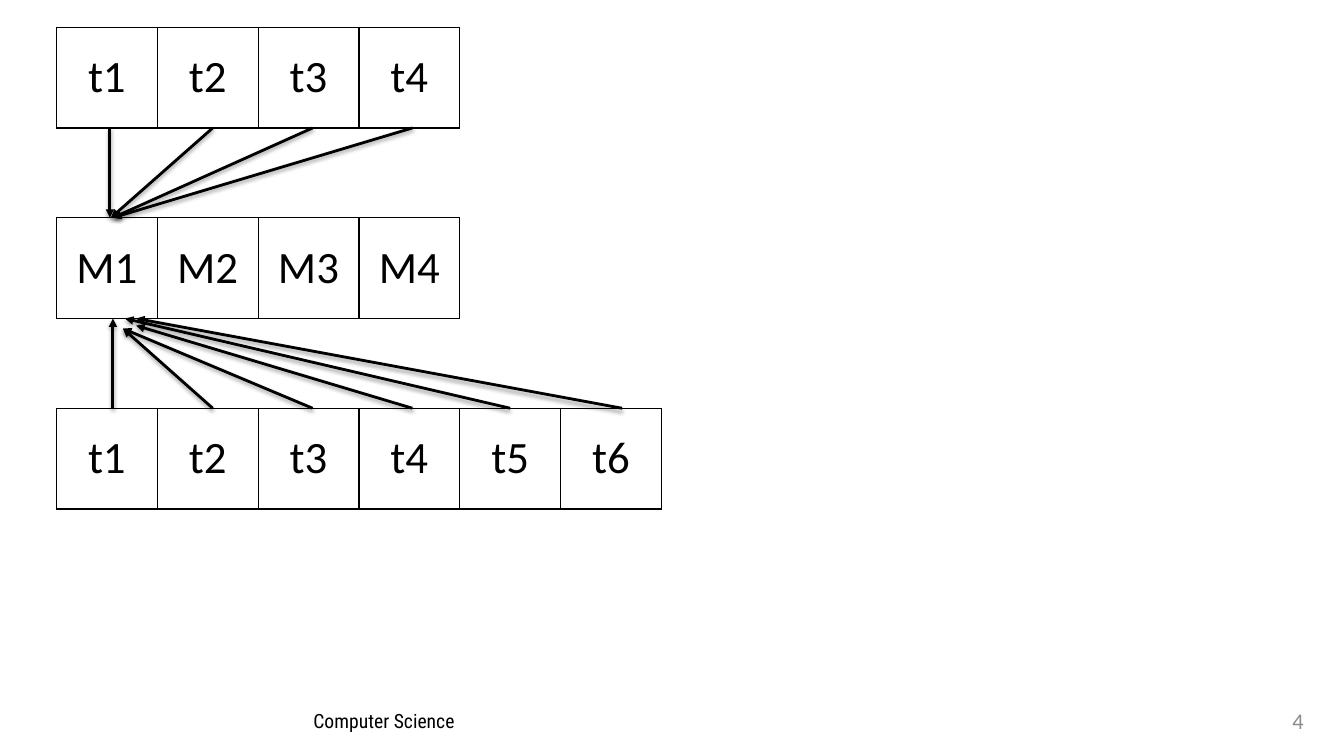
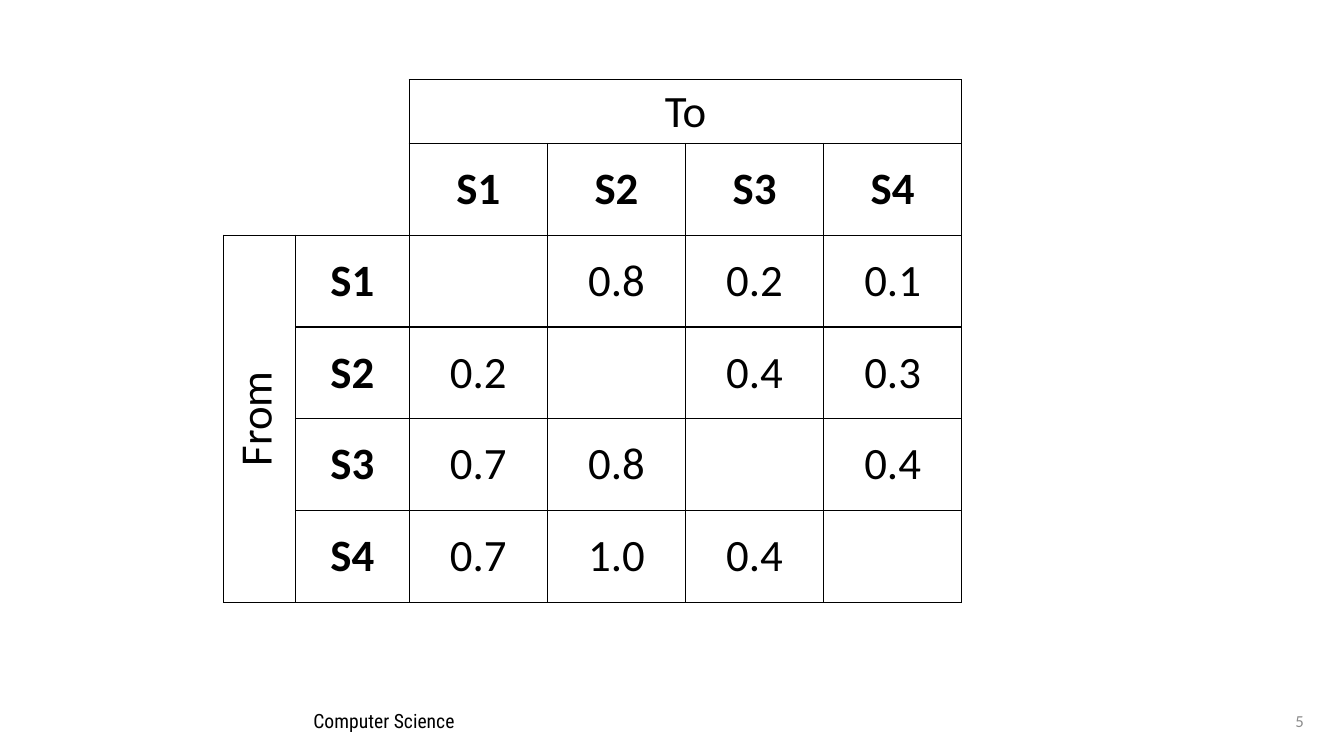
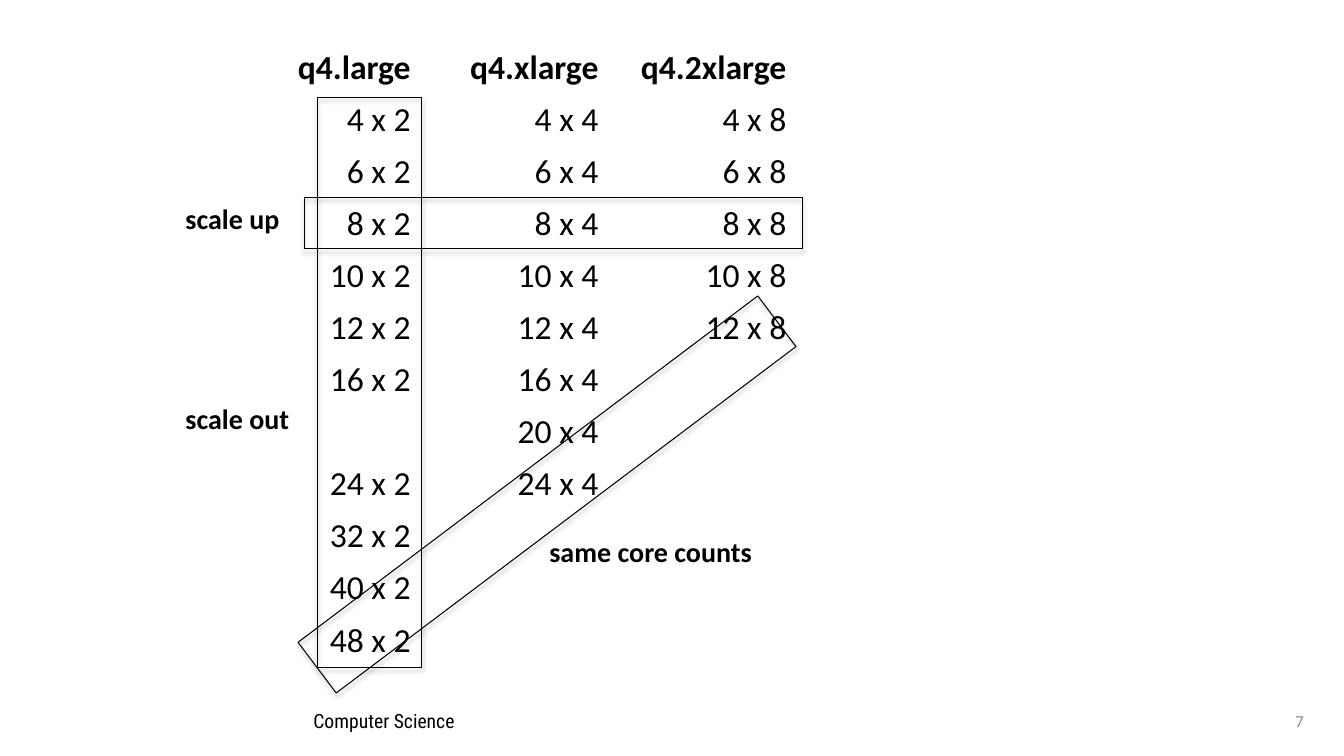
"""Build three slides on task mapping, transition values and scaling choices."""
from lxml import etree
from pptx import Presentation
from pptx.dml.color import RGBColor
from pptx.enum import shapes, text
from pptx.oxml import ns
from pptx.util import Inches, Pt

BLACK = RGBColor(0x00, 0x00, 0x00)
WHITE = RGBColor(0xFF, 0xFF, 0xFF)
GREY = RGBColor(0x8C, 0x8C, 0x8C)
BODY_FONT = "Calibri"
FOOTER_FONT = "Roboto Condensed"
BOX = 1
STATES = ["S1", "S2", "S3", "S4"]


def add_child(parent, tag, **attributes):
    """Append a DrawingML element and return it."""
    return etree.SubElement(parent, ns.qn(tag), attributes)


def add_run(paragraph, words, size, bold=False, font=BODY_FONT, color=BLACK):
    """Add one styled run to a paragraph."""
    run = paragraph.add_run()
    run.text = words
    run.font.name = font
    run.font.size = Pt(size)
    run.font.bold = bold
    run.font.color.rgb = color


def add_text(slide, box, words, size, wrap=True, grow=True, align=None, anchor=None, **style):
    """Add a text box holding one run."""
    frame = slide.shapes.add_textbox(*map(Inches, box)).text_frame
    frame.word_wrap = wrap
    frame.auto_size = text.MSO_AUTO_SIZE.SHAPE_TO_FIT_TEXT if grow else text.MSO_AUTO_SIZE.NONE
    frame.vertical_anchor = anchor
    paragraph = frame.paragraphs[0]
    paragraph.alignment = align
    add_run(paragraph, words, size, **style)


def add_shadow(shape, distance, opacity):
    """Give a shape a soft shadow that falls straight down."""
    effects = add_child(shape._element.spPr, "a:effectLst")
    shadow = add_child(effects, "a:outerShdw", blurRad=str(Pt(3.1)), dist=str(Pt(distance)),
                       dir="5400000", rotWithShape="0")
    color = add_child(shadow, "a:srgbClr", val=str(BLACK))
    add_child(color, "a:alpha", val=str(opacity * 1000))


def add_arrow(slide, start, end):
    """Draw a shadowed arrow between two points."""
    arrow = slide.shapes.add_connector(shapes.MSO_CONNECTOR.STRAIGHT, *map(Inches, start + end))
    arrow.line.color.rgb = BLACK
    arrow.line.width = Pt(2)
    add_child(arrow.line._get_or_add_ln(), "a:tailEnd", type="triangle")
    add_shadow(arrow, 1.6, 38)


def add_outline(slide, box, rotation=0):
    """Draw an unfilled rectangle around a group of cells."""
    outline = slide.shapes.add_shape(shapes.MSO_SHAPE.RECTANGLE, *map(Inches, box))
    outline.rotation = rotation
    outline.fill.background()
    outline.line.color.rgb = BLACK
    outline.line.width = Pt(0.75)
    add_shadow(outline, 1.8, 35)


def add_borders(cell, sides):
    """Draw black lines on the given sides of a cell."""
    for side in sides:
        line = add_child(cell._tc.get_or_add_tcPr(), f"a:ln{side}", w=str(Pt(1)))
        fill = add_child(line, "a:solidFill")
        add_child(fill, "a:srgbClr", val=str(BLACK))


def add_grid(slide, corner, widths, heights, rows, size, align, anchor=None,
             is_bold=lambda row, column: False, sides=lambda row, column: "LRTB"):
    """Add a white table whose bold cells and borders follow rules."""
    extent = (sum(widths), sum(heights))
    table = slide.shapes.add_table(len(rows), len(widths), *map(Inches, corner + extent)).table
    table.first_row = table.horz_banding = False
    for column, width in zip(table.columns, widths):
        column.width = Inches(width)
    for row, height in zip(table.rows, heights):
        row.height = Inches(height)
    for r, words_in_row in enumerate(rows):
        for c, words in enumerate(words_in_row):
            cell = table.cell(r, c)
            add_borders(cell, sides(r, c))
            cell.fill.solid()
            cell.fill.fore_color.rgb = WHITE
            cell.vertical_anchor = anchor
            if words:
                paragraph = cell.text_frame.paragraphs[0]
                paragraph.alignment = align
                add_run(paragraph, words, size, is_bold(r, c))
    return table


def add_box_row(slide, top, prefix, count):
    """Add a row of numbered square boxes."""
    names = [f"{prefix}{number}" for number in range(1, count + 1)]
    add_grid(slide, (0.56, top), [BOX] * count, [BOX], [names], 32,
             text.PP_ALIGN.CENTER, text.MSO_ANCHOR.MIDDLE)


def new_slide(presentation, number, number_size=12):
    """Add a blank slide with the shared footer and its number."""
    slide = presentation.slides.add_slide(presentation.slide_layouts[6])
    add_text(slide, (3.01, 6.98, 2.49, 0.34), "Computer Science", 14, font=FOOTER_FONT)
    add_text(slide, (11.03, 6.95, 2, 0.4), str(number), number_size, grow=False,
             align=text.PP_ALIGN.RIGHT, anchor=text.MSO_ANCHOR.MIDDLE, color=GREY)
    return slide


def add_mapping_slide(presentation):
    """Show two task rows that point at the first machine."""
    slide = new_slide(presentation, 4, 16)
    upper, machines, lower = 0.27, 2.16, 4.05
    add_box_row(slide, upper, "t", 4)
    add_box_row(slide, lower, "t", 6)
    add_box_row(slide, machines, "M", 4)
    for start, end in [(1.09, 1.09), (2.11, 1.1), (4.09, 1.12), (3.1, 1.12)]:
        add_arrow(slide, (start, upper + BOX), (end, machines))
    lower_arrows = [(1.12, 1.12, 0), (2.11, 1.22, 0.1), (3.1, 1.22, 0.1),
                    (4.09, 1.35, 0.07), (5.06, 1.24, 0), (6.17, 1.35, 0)]
    for start, end, gap in lower_arrows:
        add_arrow(slide, (start, lower), (end, machines + BOX + gap))


def matrix_sides(row, column):
    """Return the borders of a matrix cell, leaving the corner open."""
    if row < 2 and column < 2:
        return "RB" if row == column == 0 else ""
    return "LRTB"


def add_matrix_slide(presentation):
    """Show the values between each pair of states."""
    slide = new_slide(presentation, 5)
    values = [["", "0.8", "0.2", "0.1"],
              ["0.2", "", "0.4", "0.3"],
              ["0.7", "0.8", "", "0.4"],
              ["0.7", "1.0", "0.4", ""]]
    rows = [["", "", "To", "", "", ""], ["", ""] + STATES]
    for index, (state, row) in enumerate(zip(STATES, values)):
        rows.append(["" if index else "From", state] + row)
    table = add_grid(slide, (2.22, 0.79), [0.71, 1.13] + [1.37] * 4, [0.58] + [0.91] * 5, rows,
                     32, text.PP_ALIGN.CENTER, text.MSO_ANCHOR.MIDDLE,
                     lambda row, column: row == 1 or column == 1, matrix_sides)
    for first, last in [((0, 0), (1, 1)), ((0, 2), (0, 5)), ((2, 0), (5, 0))]:
        table.cell(*first).merge(table.cell(*last))
    table.cell(2, 0)._tc.get_or_add_tcPr().set("vert", "vert270")


def add_scaling_slide(presentation):
    """Show instance counts by size with three ways to compare them."""
    slide = new_slide(presentation, 7)
    counts = [4, 6, 8, 10, 12, 16, 20, 24, 32, 40, 48]
    sizes = [("q4.large", 2, 48, {20}), ("q4.xlarge", 4, 24, set()), ("q4.2xlarge", 8, 12, set())]
    rows = [[name for name, *_ in sizes]]
    for count in counts:
        rows.append([f"{count} x {cores}" if count <= most and count not in skipped else ""
                     for _, cores, most, skipped in sizes])
    add_grid(slide, (2.31, 0.42), [5.59 / 3] * 3, [6.2 / len(rows)] * len(rows), rows, 24,
             text.PP_ALIGN.RIGHT, is_bold=lambda row, column: row == 0,
             sides=lambda row, column: "")
    add_outline(slide, (3.15, 0.97, 1.03, 5.65))
    add_outline(slide, (3.02, 1.96, 4.94, 0.51))
    add_outline(slide, (2.57, 4.59, 5.71, 0.63), 143)
    add_text(slide, (1.74, 1.95, 1.45, 0.44), "scale up", 20, bold=True)
    add_text(slide, (1.74, 3.93, 1.24, 0.44), "scale out", 20, wrap=False, bold=True)
    add_text(slide, (5.35, 5.25, 2.23, 0.44), "same core counts", 20, wrap=False, bold=True)


def main():
    """Build and save the presentation."""
    presentation = Presentation()
    presentation.slide_width = Inches(13.33)
    presentation.slide_height = Inches(7.5)
    add_mapping_slide(presentation)
    add_matrix_slide(presentation)
    add_scaling_slide(presentation)
    presentation.save("out.pptx")


main()
